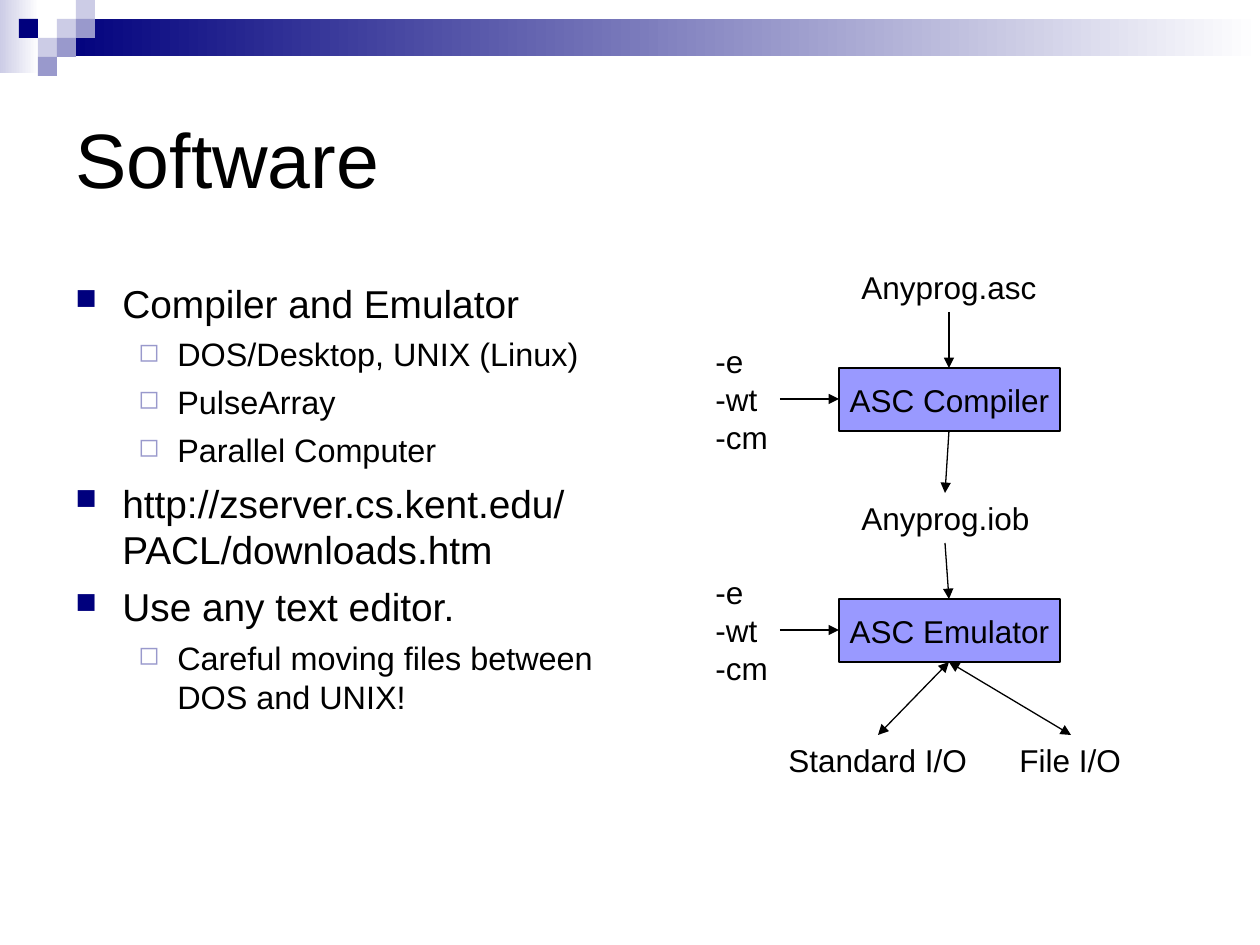
from lxml.etree import SubElement
from pptx import Presentation
from pptx.dml.color import RGBColor
from pptx.enum.shapes import MSO_CONNECTOR, MSO_SHAPE
from pptx.enum.text import MSO_ANCHOR, MSO_AUTO_SIZE, PP_ALIGN
from pptx.oxml.ns import qn
from pptx.util import Emu, Pt

BLACK = RGBColor(0x00, 0x00, 0x00)
WHITE = RGBColor(0xFF, 0xFF, 0xFF)
NAVY = RGBColor(0x00, 0x00, 0x7D)
LILAC = RGBColor(0x99, 0x99, 0xCC)
PALE = RGBColor(0xCC, 0xCC, 0xE6)
BOX_FILL = RGBColor(0x99, 0x99, 0xFF)
FONT = "Arial"

# Content
TITLE = "Software"
BULLETS = [
    (0, "Compiler and Emulator"),
    (1, "DOS/Desktop, UNIX (Linux)"),
    (1, "PulseArray"),
    (1, "Parallel Computer"),
    (0, "http://zserver.cs.kent.edu/PACL/downloads.htm"),
    (0, "Use any text editor."),
    (1, "Careful moving files between DOS and UNIX!"),
]
# size pt, space before pt, left px, hanging px, bullet, bullet colour, bullet %
LEVELS = [
    (22.2, 6, 47, 47, "■", NAVY, 75),
    (18.5, 5, 102, 39, "◻", LILAC, 80),
]
FLAGS = ["-e", "-wt", "-cm"]
STAGES = [("Anyprog.asc", 200, "ASC Compiler"), ("Anyprog.iob", 193, "ASC Emulator")]
OUTPUTS = [("Standard I/O", 776, 203, 878), ("File I/O", 1007, 126, 1071)]

# Header decoration: (left, top, width, height, left colour, right colour)
BANDS = [(0, 0, 39, 73, PALE, WHITE), (57, 19, 1203, 37, NAVY, WHITE)]
SQUARE = 19
SQUARES = [(3, 1, PALE), (4, 0, PALE), (4, 1, LILAC), (2, 2, PALE),
           (1, 1, NAVY), (3, 2, LILAC), (2, 3, LILAC)]

# Diagram grid
STAGE_TOP, STAGE_STEP = 262, 231
BOX_X, BOX_W, BOX_H, BOX_DY = 839, 221, 63, 106
LABEL_X, LABEL_H = 849, 50
FLAG_X, FLAG_W, FLAG_H = 703, 77, 126
OUTPUT_Y = 735
SLACK = 4  # spare label width, so that no line breaks
MID_X = BOX_X + BOX_W // 2


def px(n):
    return Emu(round(n * 914400 / 126))


def add_run(p, text, size):
    r = p.add_run()
    r.text = text
    r.font.name = FONT
    r.font.size = Pt(size)
    r.font.color.rgb = BLACK


def add_rect(s, x, y, w, h):
    sp = s.shapes.add_shape(MSO_SHAPE.RECTANGLE, px(x), px(y), px(w), px(h))
    sp.shadow.inherit = False
    sp.line.fill.background()
    return sp


def add_label(s, x, y, w, h, lines):
    tf = s.shapes.add_textbox(px(x), px(y), px(w + SLACK), px(h)).text_frame
    tf.word_wrap = False
    tf.auto_size = MSO_AUTO_SIZE.NONE
    for i, line in enumerate(lines):
        add_run(tf.add_paragraph() if i else tf.paragraphs[0], line, 18)


def add_box(s, x, y, text):
    sp = add_rect(s, x, y, BOX_W, BOX_H)
    sp.fill.solid()
    sp.fill.fore_color.rgb = BOX_FILL
    sp.line.color.rgb = BLACK
    sp.line.width = Pt(0.75)
    tf = sp.text_frame
    tf.word_wrap = False
    tf.vertical_anchor = MSO_ANCHOR.MIDDLE
    tf.paragraphs[0].alignment = PP_ALIGN.CENTER
    add_run(tf.paragraphs[0], text, 18)


def add_arrow(s, x1, y1, x2, y2, ends=("tailEnd",)):
    c = s.shapes.add_connector(MSO_CONNECTOR.STRAIGHT, px(x1), px(y1), px(x2), px(y2))
    c.line.color.rgb = BLACK
    c.line.width = Pt(0.75)
    for end in ends:
        SubElement(c.line._get_or_add_ln(), qn("a:" + end), type="triangle")
    SubElement(c._element.spPr, qn("a:effectLst"))


def add_bullet(p, level, text):
    size, before, left, hang, char, color, pct = LEVELS[level]
    p.level = level
    pPr = p._p.get_or_add_pPr()
    pPr.set("marL", str(px(left)))
    pPr.set("indent", str(-px(hang)))
    SubElement(SubElement(pPr, qn("a:buClr")), qn("a:srgbClr"), val=str(color))
    SubElement(pPr, qn("a:buSzPct"), val=str(pct * 1000))
    SubElement(pPr, qn("a:buChar"), char=char)
    add_run(p, text, size)
    return before


def main():
    prs = Presentation()
    prs.slide_width, prs.slide_height = px(1260), px(945)
    s = prs.slides.add_slide(prs.slide_layouts[5])

    # Header bands and squares
    for x, y, w, h, left, right in BANDS:
        fill = add_rect(s, x, y, w, h).fill
        fill.gradient()
        fill.gradient_angle = 0
        for stop, color in zip(fill.gradient_stops, (left, right)):
            stop.color.rgb = color
    for col, row, color in SQUARES:
        fill = add_rect(s, col * SQUARE, row * SQUARE, SQUARE, SQUARE).fill
        fill.solid()
        fill.fore_color.rgb = color

    # Title
    title = s.shapes.title
    title.left, title.top, title.width, title.height = px(63), px(63), px(1134), px(189)
    tf = title.text_frame
    tf.vertical_anchor = MSO_ANCHOR.MIDDLE
    tf.paragraphs[0].alignment = PP_ALIGN.LEFT
    add_run(tf.paragraphs[0], TITLE, 44)

    # Bulleted list
    tf = s.shapes.add_textbox(px(63), px(273), px(557), px(536)).text_frame
    tf.word_wrap = True
    for i, (level, text) in enumerate(BULLETS):
        p = tf.add_paragraph() if i else tf.paragraphs[0]
        before = add_bullet(p, level, text)
        if i:
            p.space_before = Pt(before)

    # Stages: input file, flags and program
    for i, (source, label_w, program) in enumerate(STAGES):
        top = STAGE_TOP + i * STAGE_STEP
        box_y = top + BOX_DY
        mid_y = box_y + BOX_H // 2
        label_mid = LABEL_X + label_w // 2
        add_label(s, LABEL_X, top, label_w, LABEL_H, [source])
        add_label(s, FLAG_X, mid_y - FLAG_H // 2, FLAG_W, FLAG_H, FLAGS)
        add_box(s, BOX_X, box_y, program)
        add_arrow(s, label_mid, top + LABEL_H, MID_X, box_y)
        add_arrow(s, FLAG_X + FLAG_W, mid_y, BOX_X, mid_y)
        if i:
            add_arrow(s, MID_X, box_y - STAGE_STEP + BOX_H, label_mid, top)

    # Outputs of the last stage
    for text, x, w, tip_x in OUTPUTS:
        add_label(s, x, OUTPUT_Y, w, LABEL_H, [text])
        add_arrow(s, MID_X, box_y + BOX_H, tip_x, OUTPUT_Y, ("headEnd", "tailEnd"))

    prs.save("out.pptx")


if __name__ == "__main__":
    main()
